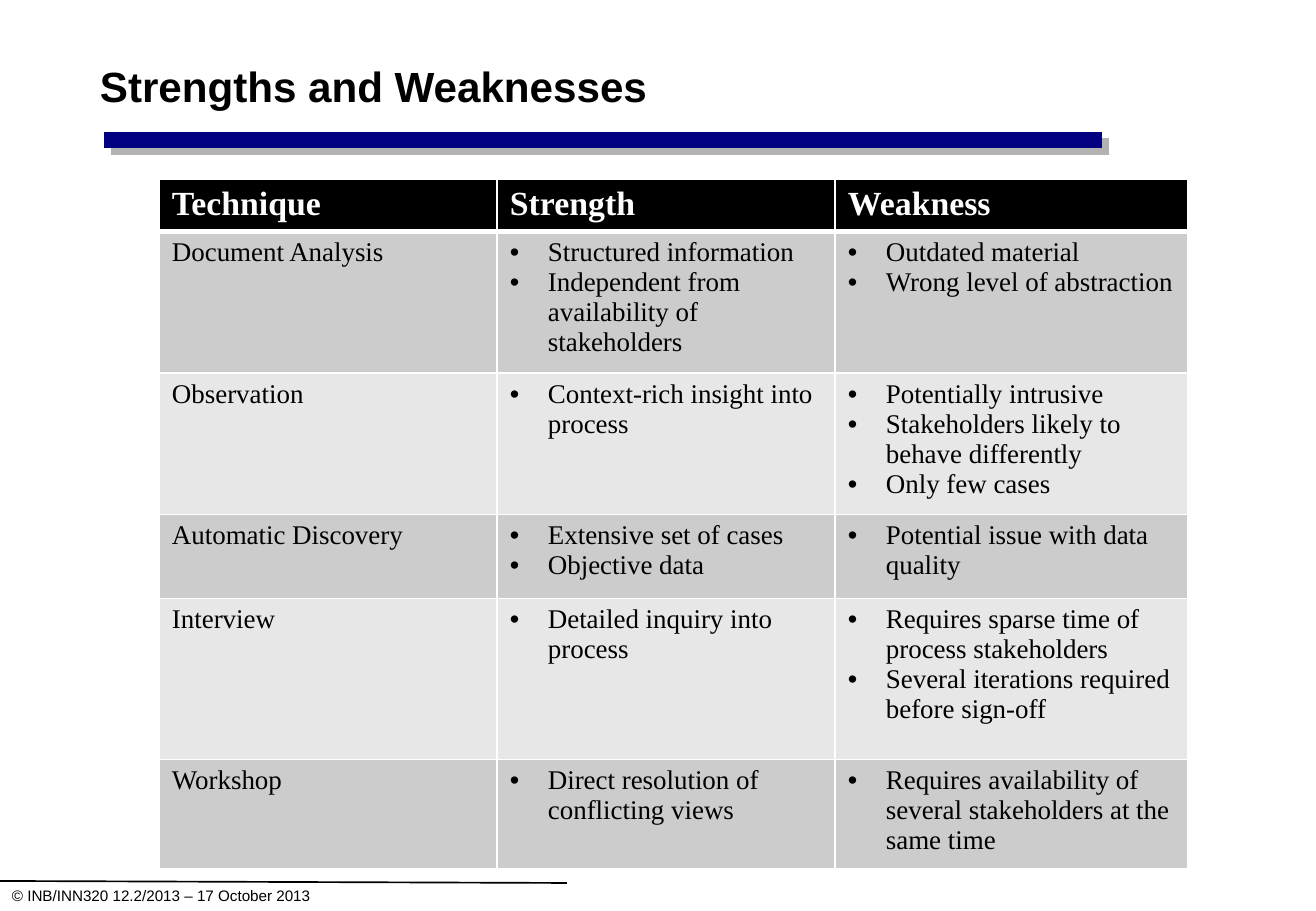
from pptx import Presentation
from pptx.dml.color import RGBColor
from pptx.enum.shapes import MSO_CONNECTOR
from pptx.oxml import parse_xml
from pptx.oxml.ns import nsdecls
from pptx.util import Pt

PX = 7526  # EMU in one px, 121.5 px to the inch
COLORS = {
    "black": "000000", "white": "FFFFFF", "navy": "000080",
    "shadow": "B2B2B2", "dark_band": "CCCCCC", "light_band": "E7E7E7",
}
NS = nsdecls("a")


def add_span(para, text, font, size, color, bold=False):
    span = para.add_run()
    span.text = text
    span.font.name = font
    span.font.size = Pt(size)
    span.font.bold = bold
    span.font.color.rgb = RGBColor.from_string(COLORS[color])


deck = Presentation()
deck.slide_width = 1316 * PX
deck.slide_height = 911 * PX
page = deck.slides.add_slide(deck.slide_layouts[6])

# Title rule with its shadow, and footer rule
title_shadow = (
    f'<a:outerShdw dist="{Pt(5.7)}" dir="2700000" algn="ctr" rotWithShape="0">'
    f'<a:srgbClr val="{COLORS["shadow"]}"/></a:outerShdw>'
)
for x1, y1, x2, y2, color, weight, effect in [
    (104, 140, 1102, 140, "navy", 10, title_shadow),
    (0, 881, 567, 883, "black", 1, ""),
]:
    rule = page.shapes.add_connector(
        MSO_CONNECTOR.STRAIGHT, x1 * PX, y1 * PX, x2 * PX, y2 * PX)
    rule.line.color.rgb = RGBColor.from_string(COLORS[color])
    rule.line.width = Pt(weight)
    rule._element.spPr.append(
        parse_xml(f"<a:effectLst {NS}>{effect}</a:effectLst>"))

# Title and footer text
for x, y, width, height, text, size, bold in [
    (88, 54, 965, 72, "Strengths and Weaknesses", 25, True),
    (0, 880, 340, 30, "© INB/INN320 12.2/2013 – 17 October 2013", 9, False),
]:
    box = page.shapes.add_textbox(x * PX, y * PX, width * PX, height * PX)
    box.text_frame.word_wrap = True
    add_span(box.text_frame.paragraphs[0], text, "Arial", size, "black", bold)

# Table content: technique, strengths, weaknesses
rows = [
    (["Technique"], ["Strength"], ["Weakness"]),
    (["Document Analysis"],
     ["Structured information", "Independent from availability of stakeholders"],
     ["Outdated material", "Wrong level of abstraction"]),
    (["Observation"],
     ["Context-rich insight into process"],
     ["Potentially intrusive", "Stakeholders likely to behave differently",
      "Only few cases"]),
    (["Automatic Discovery"],
     ["Extensive set of cases", "Objective data"],
     ["Potential issue with data quality"]),
    (["Interview"],
     ["Detailed inquiry into process"],
     ["Requires sparse time of process stakeholders",
      "Several iterations required before sign-off"]),
    (["Workshop"],
     ["Direct resolution of conflicting views"],
     ["Requires availability of several stakeholders at the same time"]),
]
column_widths = [338, 338, 353]
row_heights = [49, 135, 133, 84, 161, 102]

# Table grid
table = page.shapes.add_table(
    len(rows), len(column_widths), 159 * PX, 179 * PX,
    sum(column_widths) * PX, sum(row_heights) * PX).table
for column, width in zip(table.columns, column_widths):
    column.width = width * PX
for row, height in zip(table.rows, row_heights):
    row.height = height * PX

# Table cells
for row_index, row in enumerate(rows):
    header = row_index == 0
    band = "black" if header else "dark_band" if row_index % 2 else "light_band"
    for column_index, lines in enumerate(row):
        cell = table.cell(row_index, column_index)
        cell.margin_left = cell.margin_right = 13 * PX
        cell.margin_top = cell.margin_bottom = 6 * PX
        for line_index, text in enumerate(lines):
            frame = cell.text_frame
            para = frame.add_paragraph() if line_index else frame.paragraphs[0]
            if header:
                add_span(para, text, "Times New Roman", 20, "white", True)
            else:
                add_span(para, text, "Times New Roman", 16, "black")
                if column_index:
                    properties = para._p.get_or_add_pPr()
                    properties.set("marL", str(38 * PX))
                    properties.set("indent", str(-38 * PX))
                    properties.append(parse_xml(f'<a:buFont {NS} typeface="Arial"/>'))
                    properties.append(parse_xml(f'<a:buChar {NS} char="•"/>'))

        # White borders, thicker between the header and the first row
        cell_properties = cell._tc.get_or_add_tcPr()
        for side in "LRTB":
            thick = (row_index, side) in [(0, "B"), (1, "T")]
            cell_properties.append(parse_xml(
                f'<a:ln{side} {NS} w="{Pt(3 if thick else 1)}"><a:solidFill>'
                f'<a:srgbClr val="{COLORS["white"]}"/></a:solidFill></a:ln{side}>'))
        cell.fill.solid()
        cell.fill.fore_color.rgb = RGBColor.from_string(COLORS[band])

deck.save("out.pptx")
